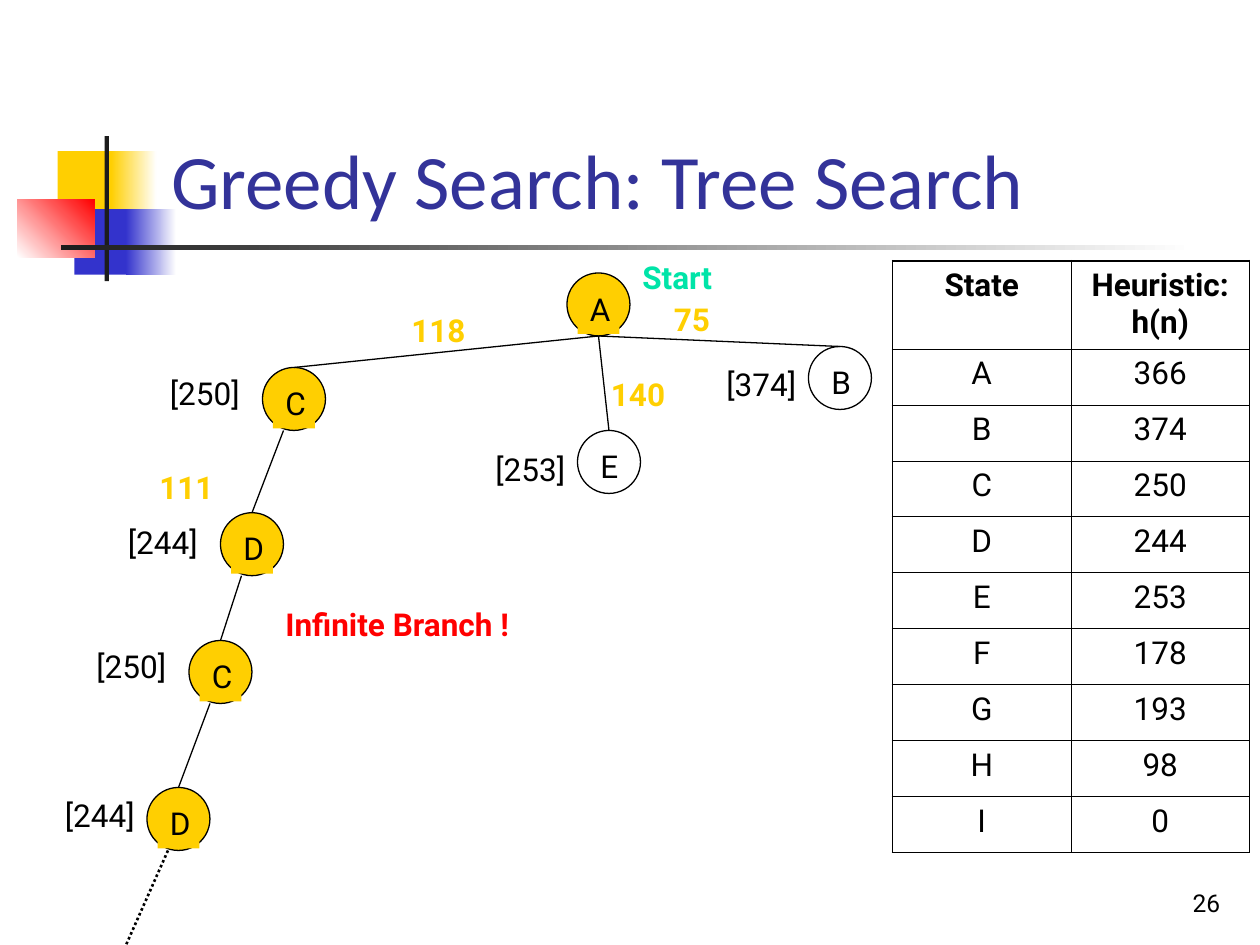
from lxml import etree
from pptx import Presentation
from pptx.dml.color import RGBColor
from pptx.enum.dml import MSO_LINE
from pptx.enum.shapes import MSO_CONNECTOR, MSO_SHAPE
from pptx.enum.text import MSO_ANCHOR, PP_ALIGN
from pptx.oxml.ns import qn
from pptx.util import Pt

RECTANGLE, OVAL = MSO_SHAPE.RECTANGLE, MSO_SHAPE.OVAL
STRAIGHT, DOTTED = MSO_CONNECTOR.STRAIGHT, MSO_LINE.ROUND_DOT
LEFT, CENTER, RIGHT = PP_ALIGN.LEFT, PP_ALIGN.CENTER, PP_ALIGN.RIGHT
TOP, BOTTOM = MSO_ANCHOR.TOP, MSO_ANCHOR.BOTTOM

BLACK = RGBColor(0x00, 0x00, 0x00)
WHITE = RGBColor(0xFF, 0xFF, 0xFF)
GOLD = RGBColor(0xFF, 0xCF, 0x01)
BLUE = RGBColor(0x33, 0x33, 0xCC)
TITLE_BLUE = RGBColor(0x33, 0x33, 0x99)
CHARCOAL = RGBColor(0x1C, 0x1C, 0x1C)
RED = RGBColor(0xFF, 0x00, 0x00)
GREEN = RGBColor(0x00, 0xE4, 0xA8)

# Content: left, top, width, height, colours (two make a gradient), angle
ORNAMENTS = [
    (33, 86.4, 34.5, 37.5, [GOLD], 0),
    (63.5, 86.4, 26, 37.5, [GOLD, WHITE], 0),
    (42.5, 119.5, 33, 37.5, [BLUE], 0),
    (72, 119.5, 28.8, 37.5, [BLUE, WHITE], 0),
    (10, 113.8, 44, 33.2, [WHITE, RED], 45),
    (59.8, 77.8, 2.5, 82.8, [CHARCOAL], 0),
    (34.6, 140.2, 648, 2.5, [CHARCOAL, WHITE], 0),
]

# Tree nodes: key, letter, left, top, expanded
NODES = [
    ("A", "A", 324, 156, True),
    ("B", "B", 462, 198, False),
    ("C", "C", 150, 210, True),
    ("E", "E", 330, 246, False),
    ("D", "D", 126, 293, True),
    ("C again", "C", 108, 366, True),
    ("D again", "D", 84, 450, True),
]
# Parent, child, shift of the start from the middle of the parent
EDGES = [
    ("A", "B", 0), ("A", "E", 0), ("A", "C", 0),
    ("C", "D", -6), ("D", "C again", -6), ("C again", "D again", -6),
]
STEP_COSTS = [("111", 84, 264), ("75", 378, 168), ("118", 228, 174), ("140", 342, 211)]
HEURISTICS = [
    ("[374]", 408, 205), ("[250]", 90, 210), ("[253]", 276, 253.5),
    ("[244]", 66, 295.5), ("[250]", 48, 366), ("[244]", 30, 451.5),
]
TABLE_ROWS = [
    ("State", "Heuristic: h(n)"),
    ("A", "366"), ("B", "374"), ("C", "250"), ("D", "244"), ("E", "253"),
    ("F", "178"), ("G", "193"), ("H", "98"), ("I", "0"),
]

DIAMETER = 36
LABEL_HEIGHT = 28.8
HEADER_HEIGHT, ROW_HEIGHT, COLUMN_WIDTH = 50.4, 32, 102
OUTER_BORDER, INNER_BORDER = 1.08, 0.45


def write(frame, text, size=18, font="Roboto", color=BLACK, bold=False,
          align=LEFT, anchor=TOP):
    frame.word_wrap = True
    frame.vertical_anchor = anchor
    para = frame.paragraphs[0]
    para.alignment = align
    span = para.add_run()
    span.text = text
    span.font.size = Pt(size)
    span.font.name = font
    span.font.color.rgb = color
    span.font.bold = bold


def add_label(text, left, top, width, height=LABEL_HEIGHT, **style):
    box = page.shapes.add_textbox(Pt(left), Pt(top), Pt(width), Pt(height))
    write(box.text_frame, text, **style)


def add_plain_shape(shapes, kind, left, top, width, height, colors=(), angle=0):
    shape = shapes.add_shape(kind, Pt(left), Pt(top), Pt(width), Pt(height))
    shape.shadow.inherit = False
    shape.line.fill.background()
    if len(colors) == 2:
        shape.fill.gradient()
        shape.fill.gradient_angle = angle
        for stop, color in zip(shape.fill.gradient_stops, colors):
            stop.color.rgb = color
    elif colors:
        shape.fill.solid()
        shape.fill.fore_color.rgb = colors[0]
    else:
        shape.fill.background()
    return shape


def add_node(letter, left, top, expanded):
    shapes = page.shapes.add_group_shape().shapes
    colors = [GOLD] if expanded else []
    circle = add_plain_shape(shapes, OVAL, left, top, DIAMETER, DIAMETER, colors)
    circle.line.color.rgb = BLACK
    circle.line.width = Pt(0.75)
    plate = add_plain_shape(shapes, RECTANGLE, left + 6, top + 6, 24, LABEL_HEIGHT, colors)
    write(plate.text_frame, letter)
    return circle


def add_line(x1, y1, x2, y2, width=0.75):
    line = page.shapes.add_connector(STRAIGHT, Pt(x1), Pt(y1), Pt(x2), Pt(y2))
    line.line.color.rgb = BLACK
    line.line.width = Pt(width)
    etree.SubElement(line._element.spPr, qn("a:effectLst"))
    return line


def set_borders(cell, **widths):
    properties = cell._tc.get_or_add_tcPr()
    for side in "LRTB":
        border = etree.SubElement(properties, qn(f"a:ln{side}"), w=str(Pt(widths[side])))
        fill = etree.SubElement(border, qn("a:solidFill"))
        etree.SubElement(fill, qn("a:srgbClr"), val=str(BLACK))


deck = Presentation()
deck.slide_width, deck.slide_height = Pt(720), Pt(540)
page = deck.slides.add_slide(deck.slide_layouts[6])

# Ornament, page number and title
for left, top, width, height, colors, angle in ORNAMENTS:
    add_plain_shape(page.shapes, RECTANGLE, left, top, width, height, colors, angle)
add_label("26", 554.4, 492, 150, 36, size=14, align=RIGHT, anchor=BOTTOM)
add_label("Greedy Search: Tree Search", 90.7, 16.6, 613.4, 115.2,
          size=44, font="Calibri", color=TITLE_BLUE, anchor=BOTTOM)

# Search tree
circles, bottoms = {}, {}
for key, letter, left, top, expanded in NODES:
    circles[key] = add_node(letter, left, top, expanded)
    bottoms[key] = (left + DIAMETER / 2, top + DIAMETER)
for parent, child, shift in EDGES:
    x, y = bottoms[parent]
    add_line(x + shift, y, x, y).end_connect(circles[child], 0)
x, y = bottoms["D again"]
add_line(x - 6, y, 72, 540, width=1.5).line.dash_style = DOTTED

# Tree labels
for text, left, top in STEP_COSTS:
    add_label(text, left, top, 60, color=GOLD, bold=True)
for text, left, top in HEURISTICS:
    add_label(text, left, top, 66)
add_label("Start", 360, 144, 96, color=GREEN, bold=True)
add_label("Infinite Branch !", 156, 342, 180, color=RED, bold=True)

# Heuristic table
last = len(TABLE_ROWS) - 1
table = page.shapes.add_table(
    len(TABLE_ROWS), 2, Pt(510), Pt(149), Pt(2 * COLUMN_WIDTH),
    Pt(HEADER_HEIGHT + last * ROW_HEIGHT)).table
table.first_row = table.horz_banding = False
for column in table.columns:
    column.width = Pt(COLUMN_WIDTH)
for r, values in enumerate(TABLE_ROWS):
    table.rows[r].height = Pt(ROW_HEIGHT if r else HEADER_HEIGHT)
    for c, value in enumerate(values):
        cell = table.cell(r, c)
        write(cell.text_frame, value, bold=r == 0, align=CENTER)
        set_borders(cell,
                    L=INNER_BORDER if c else OUTER_BORDER,
                    R=OUTER_BORDER if c else INNER_BORDER,
                    T=INNER_BORDER if r else OUTER_BORDER,
                    B=OUTER_BORDER if r == last else INNER_BORDER)
        cell.fill.background()

deck.save("out.pptx")
